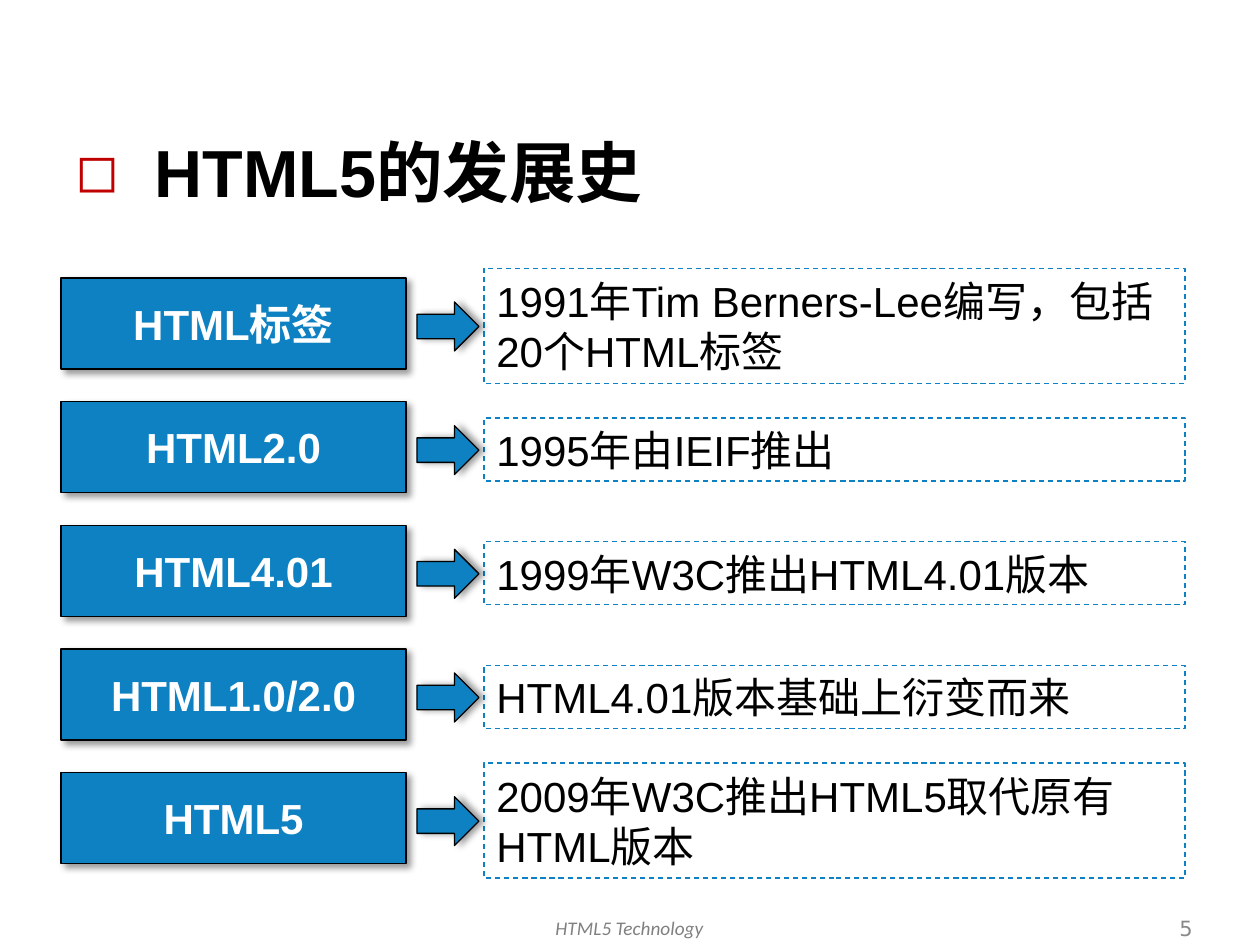
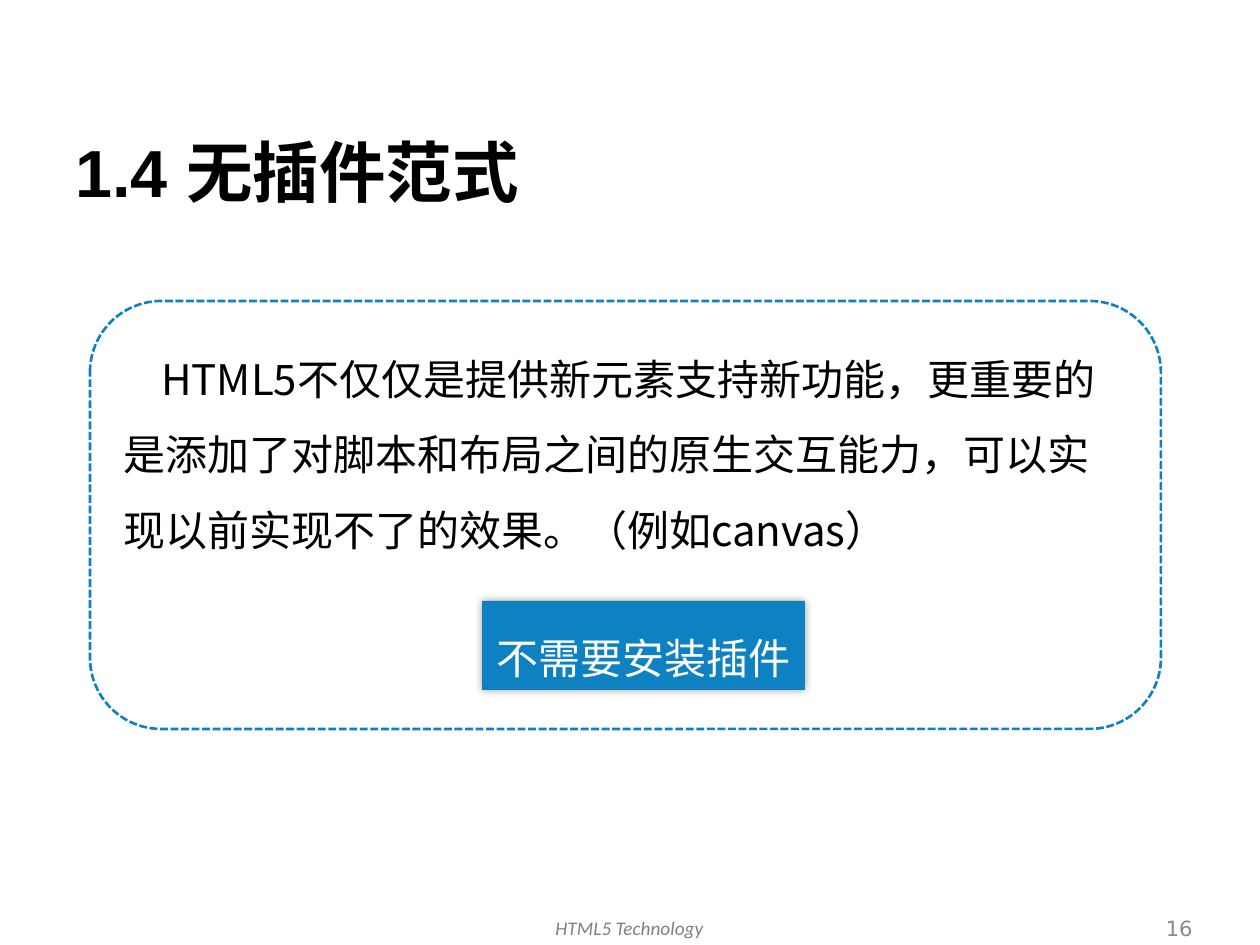
from lxml import etree
from pptx import Presentation
from pptx.dml.color import RGBColor
from pptx.enum.dml import MSO_LINE
from pptx.enum.shapes import MSO_SHAPE
from pptx.enum.text import MSO_ANCHOR, PP_ALIGN
from pptx.oxml.ns import qn
from pptx.util import Emu, Pt

EMU_PER_PX = 914400 / 126
SLIDE_W, SLIDE_H = 1260, 945

RECT, ROUNDED, ARROW = MSO_SHAPE.RECTANGLE, MSO_SHAPE.ROUNDED_RECTANGLE, MSO_SHAPE.RIGHT_ARROW
LEFT, CENTER, RIGHT = PP_ALIGN.LEFT, PP_ALIGN.CENTER, PP_ALIGN.RIGHT
TOP, MIDDLE = MSO_ANCHOR.TOP, MSO_ANCHOR.MIDDLE
DASH, SHORT_DASH = MSO_LINE.DASH, MSO_LINE.SQUARE_DOT

BLUE = RGBColor(0x0D, 0x81, 0xC1)
BLACK = RGBColor(0, 0, 0)
WHITE = RGBColor(0xFF, 0xFF, 0xFF)
FOOTER_GRAY = RGBColor(0x80, 0x80, 0x80)
NUMBER_GRAY = RGBColor(0x89, 0x89, 0x89)
BULLET_RED = RGBColor(0xC0, 0, 0)

LATIN, CJK, FOOTER_FONT, SYMBOL = "Arial", "Noto Sans CJK SC", "Calibri", "DejaVu Sans"

LOOSE_SPACING = 1.5

HISTORY = [
    ("HTML标签", "1991年Tim Berners-Lee编写，包括20个HTML标签", 115),
    ("HTML2.0", "1995年由IEIF推出", 63),
    ("HTML4.01", "1999年W3C推出HTML4.01版本", 63),
    ("HTML1.0/2.0", "HTML4.01版本基础上衍变而来", 63),
    ("HTML5", "2009年W3C推出HTML5取代原有HTML版本", 115),
]
ROW_PITCH = 371 / 3


def px(length):
    return Emu(round(length * EMU_PER_PX))


def write(shape, text, size, color, font=LATIN, bold=False, italic=False,
          align=LEFT, anchor=TOP, spacing=None, wrap=True):
    """Fill a shape with one formatted paragraph and return that paragraph."""
    frame = shape.text_frame
    frame.text = text
    frame.word_wrap = wrap
    frame.vertical_anchor = anchor
    paragraph = frame.paragraphs[0]
    paragraph.alignment = align
    paragraph.line_spacing = spacing
    run = paragraph.runs[0]
    run.font.size = Pt(size)
    run.font.name = font
    run.font.bold = bold
    run.font.italic = italic
    run.font.color.rgb = color
    east_asian = etree.Element(qn("a:ea"), typeface=CJK)
    run.font._element.find(qn("a:latin")).addnext(east_asian)
    return paragraph


def add_text(slide, box, text, size, color, **style):
    textbox = slide.shapes.add_textbox(*map(px, box))
    return write(textbox, text, size, color, **style)


def add_box(slide, kind, box, fill=None, line=None, width=0.75, dash=None):
    shape = slide.shapes.add_shape(kind, *map(px, box))
    shape.shadow.inherit = False
    if fill is None:
        shape.fill.background()
    else:
        shape.fill.solid()
        shape.fill.fore_color.rgb = fill
    if line is None:
        shape.line.fill.background()
    else:
        shape.line.color.rgb = line
        shape.line.width = Pt(width)
        if dash is not None:
            shape.line.dash_style = dash
    return shape


def add_shadow(shape, blur, distance, angle):
    """Cast a 40 % black shadow; blur and distance in points, angle in degrees."""
    effects = shape._element.spPr.find(qn("a:effectLst"))
    shadow = etree.SubElement(
        effects, qn("a:outerShdw"), blurRad=str(Pt(blur)), dist=str(Pt(distance)),
        dir=str(angle * 60000), algn="ctr", rotWithShape="0")
    color = etree.SubElement(shadow, qn("a:srgbClr"), val=str(BLACK))
    etree.SubElement(color, qn("a:alpha"), val="40000")


def add_square_bullet(paragraph):
    properties = paragraph._p.get_or_add_pPr()
    properties.set("marL", str(px(79)))
    properties.set("indent", str(px(-79)))
    color = etree.SubElement(properties, qn("a:buClr"))
    etree.SubElement(color, qn("a:srgbClr"), val=str(BULLET_RED))
    etree.SubElement(properties, qn("a:buSzPct"), val="80000")
    etree.SubElement(properties, qn("a:buFont"), typeface=SYMBOL)
    etree.SubElement(properties, qn("a:buChar"), char="◻")


def add_content_slide(deck, title, number):
    """Add a slide with title, footer and number; return it with its title paragraph."""
    slide = deck.slides.add_slide(deck.slide_layouts[6])
    heading = add_text(slide, (63, 125, 1102, 123), title, 38, BLACK, bold=True)
    add_text(slide, (405, 910, 449, 42), "HTML5 Technology", 11, FOOTER_GRAY,
             font=FOOTER_FONT, italic=True, align=CENTER)
    add_text(slide, (921, 910, 284, 37), str(number), 12, NUMBER_GRAY,
             font=SYMBOL, align=RIGHT, anchor=MIDDLE)
    return slide, heading


def add_history_row(slide, offset, version, event, event_height):
    label = add_box(slide, RECT, (61, 278 + offset, 345, 91), BLUE, BLACK)
    add_shadow(label, 4, 3, 45)
    write(label, version, 24, WHITE, bold=True, align=CENTER, anchor=MIDDLE)

    event_top = 326 + offset - event_height / 2
    description = add_box(slide, RECT, (484, event_top, 701, event_height),
                          line=BLUE, dash=DASH)
    write(description, event, 24, BLACK, anchor=MIDDLE)

    arrow = add_box(slide, ARROW, (417, 302 + offset, 62, 49), BLUE, BLACK)
    add_shadow(arrow, 4, 3, 0)


def build_history(deck):
    slide, heading = add_content_slide(deck, "HTML5的发展史", 5)
    add_square_bullet(heading)
    for row, (version, event, event_height) in enumerate(HISTORY):
        add_history_row(slide, row * ROW_PITCH, version, event, event_height)


def build_plugin_free(deck):
    slide, _ = add_content_slide(deck, "1.4 无插件范式", 16)
    panel = add_box(slide, ROUNDED, (90, 301, 1071, 428), line=BLUE, width=1.5, dash=SHORT_DASH)
    explanation = write(
        panel,
        "HTML5不仅仅是提供新元素支持新功能，更重要的是添加了对脚本和布局之间的"
        "原生交互能力，可以实现以前实现不了的效果。（例如canvas）",
        24, BLACK, font=CJK, spacing=LOOSE_SPACING)
    explanation._p.get_or_add_pPr().set("indent", str(px(38)))

    badge = add_box(slide, RECT, (482, 601, 323, 89), BLUE)
    add_shadow(badge, 5, 0, 0)
    write(badge, "不需要安装插件", 24, WHITE, font=SYMBOL, align=CENTER,
          spacing=LOOSE_SPACING, wrap=False)


def main():
    deck = Presentation()
    deck.slide_width, deck.slide_height = px(SLIDE_W), px(SLIDE_H)
    build_history(deck)
    build_plugin_free(deck)
    deck.save("out.pptx")


if __name__ == "__main__":
    main()
